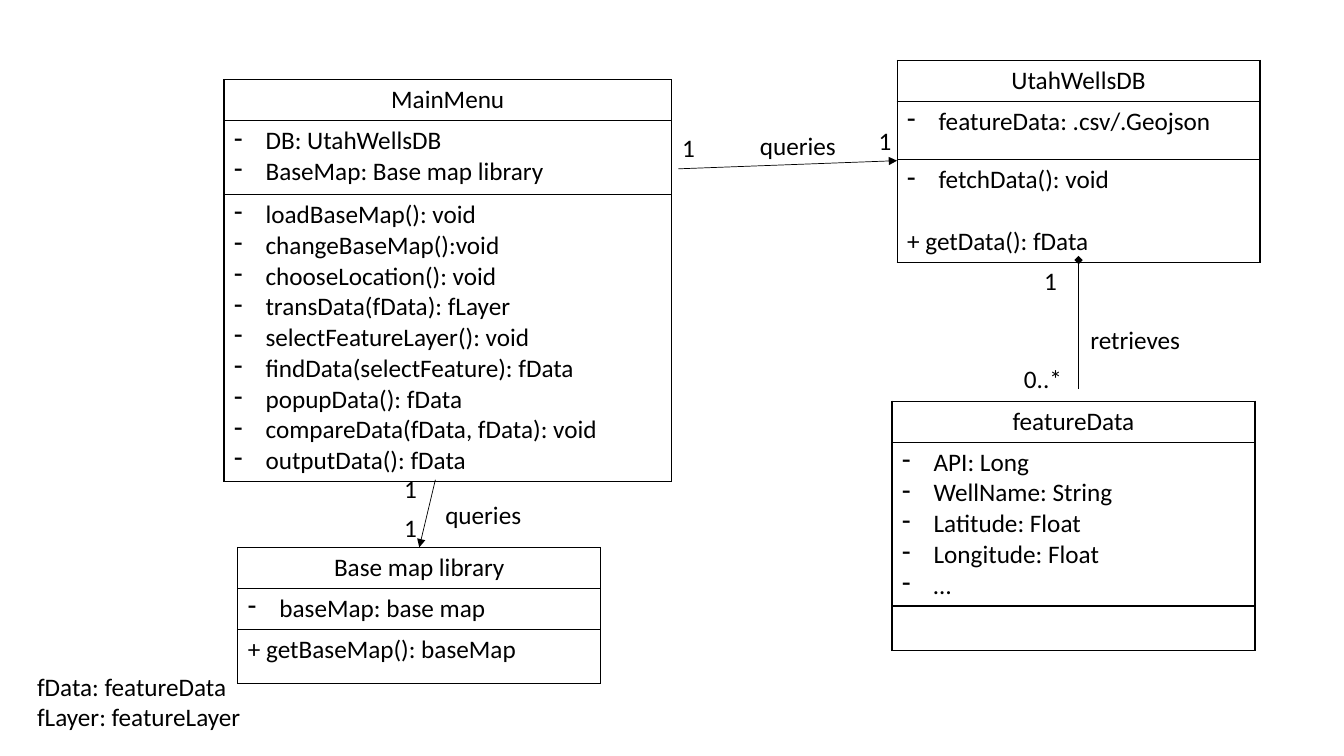
from lxml.etree import SubElement as Sub
from pptx import Presentation
from pptx.dml.color import RGBColor
from pptx.enum.shapes import MSO_CONNECTOR as Conn
from pptx.enum.text import PP_ALIGN as Align
from pptx.oxml import parse_xml
from pptx.oxml.ns import nsdecls, qn
from pptx.util import Pt

BLACK = RGBColor(0, 0, 0)
WHITE = RGBColor(255, 255, 255)
FONT = "Calibri"
SIZE = 18
LINE = 22
HANG = 22.5

deck = Presentation()
deck.slide_width, deck.slide_height = Pt(960), Pt(540)
slide = deck.slides.add_slide(deck.slide_layouts[6])
slide.background.fill.solid()
slide.background.fill.fore_color.rgb = WHITE


def put(frame, text, align=Align.LEFT, gap=0):
    for i, line in enumerate(text.split("\n")):
        para = frame.add_paragraph() if i else frame.paragraphs[0]
        para.alignment = align
        para.font.size = Pt(SIZE)
        if i and gap:
            para.space_before = Pt(gap)
        if line.startswith("- "):
            line = line[2:]
            props = para._p.get_or_add_pPr()
            props.set("marL", str(Pt(HANG)))
            props.set("indent", str(Pt(-HANG)))
            mark = parse_xml(f'<a:buChar {nsdecls("a")} char="-"/>')
            props.insert_element_before(mark, "a:tabLst", "a:defRPr", "a:extLst")
        if line:
            run = para.add_run()
            run.text = line
            run.font.name = FONT
            run.font.size = Pt(SIZE)
            run.font.color.rgb = BLACK


MENU = """- loadBaseMap(): void
- changeBaseMap():void
- chooseLocation(): void
- transData(fData): fLayer
- selectFeatureLayer(): void
- findData(selectFeature): fData
- popupData(): fData
- compareData(fData, fData): void
- outputData(): fData"""
FIELDS = "- API: Long\n- WellName: String\n- Latitude: Float\n- Longitude: Float\n- …"

classes = [
    (160, 57, 319.7, (29.2, 52.7, 205),
     ("MainMenu", "- DB: UtahWellsDB\n- BaseMap: Base map library", MENU)),
    (640.8, 43.2, 259.2, (29.2, 41.8, 73.2),
     ("UtahWellsDB", "- featureData: .csv/.Geojson",
      "- fetchData(): void\n+ getData(): fData")),
    (169.9, 391, 259.2, (29.2, 29.2, 38.9),
     ("Base map library", "- baseMap: base map", "+ getBaseMap(): baseMap")),
    (637.2, 286.6, 259.2, (29.2, 115.9, 31.7),
     ("featureData", FIELDS, "")),
]
for left, top, width, rows, texts in classes:
    grid = slide.shapes.add_table(
        3, 1, Pt(left), Pt(top), Pt(width), Pt(sum(rows))).table
    grid.first_row = grid.horz_banding = False
    for i, (high, text) in enumerate(zip(rows, texts)):
        grid.rows[i].height = Pt(high)
        cell = grid.cell(i, 0)
        cell.fill.background()
        put(cell.text_frame, text,
            align=Align.LEFT if i else Align.CENTER,
            gap=LINE if "getData" in text else 0)
        props = cell._tc.get_or_add_tcPr()
        for n, side in enumerate("LRTB"):
            edge = parse_xml(
                f'<a:ln{side} {nsdecls("a")} w="{Pt(1)}"><a:solidFill>'
                f'<a:srgbClr val="{BLACK}"/></a:solidFill></a:ln{side}>')
            props.insert(n, edge)

links = [
    (484.6, 120.6, 640.8, 114.8, "triangle"),
    (770.4, 278, 770.4, 185.8, "diamond"),
    (311, 342.7, 299.5, 391, "triangle"),
]
for *ends, tip in links:
    link = slide.shapes.add_connector(Conn.STRAIGHT, *map(Pt, ends))
    link.line.color.rgb = BLACK
    link.line.width = Pt(0.5)
    Sub(link.line._get_or_add_ln(), qn("a:tailEnd"), type=tip)
    Sub(link._element.spPr, qn("a:effectLst"))

labels = [
    (19.4, 475.9, 161.3, 51, "fData: featureData\nfLayer: featureLayer"),
    (535.7, 89.3, 69, 29, "queries"),
    (311, 352.8, 69, 29, "queries"),
    (771.8, 228.2, 79, 29, "retrieves"),
    (480.2, 90.7, 24, 29, "1"),
    (620.6, 85.7, 24, 29, "1"),
    (281.5, 334.8, 24, 29, "1"),
    (281.5, 362.2, 24, 29, "1"),
    (738.7, 185.8, 24, 29, "1"),
    (724.3, 255.6, 42, 29, "0..*"),
]
for *area, text in labels:
    box = slide.shapes.add_textbox(*map(Pt, area))
    box.text_frame.word_wrap = False
    put(box.text_frame, text)

deck.save("out.pptx")
